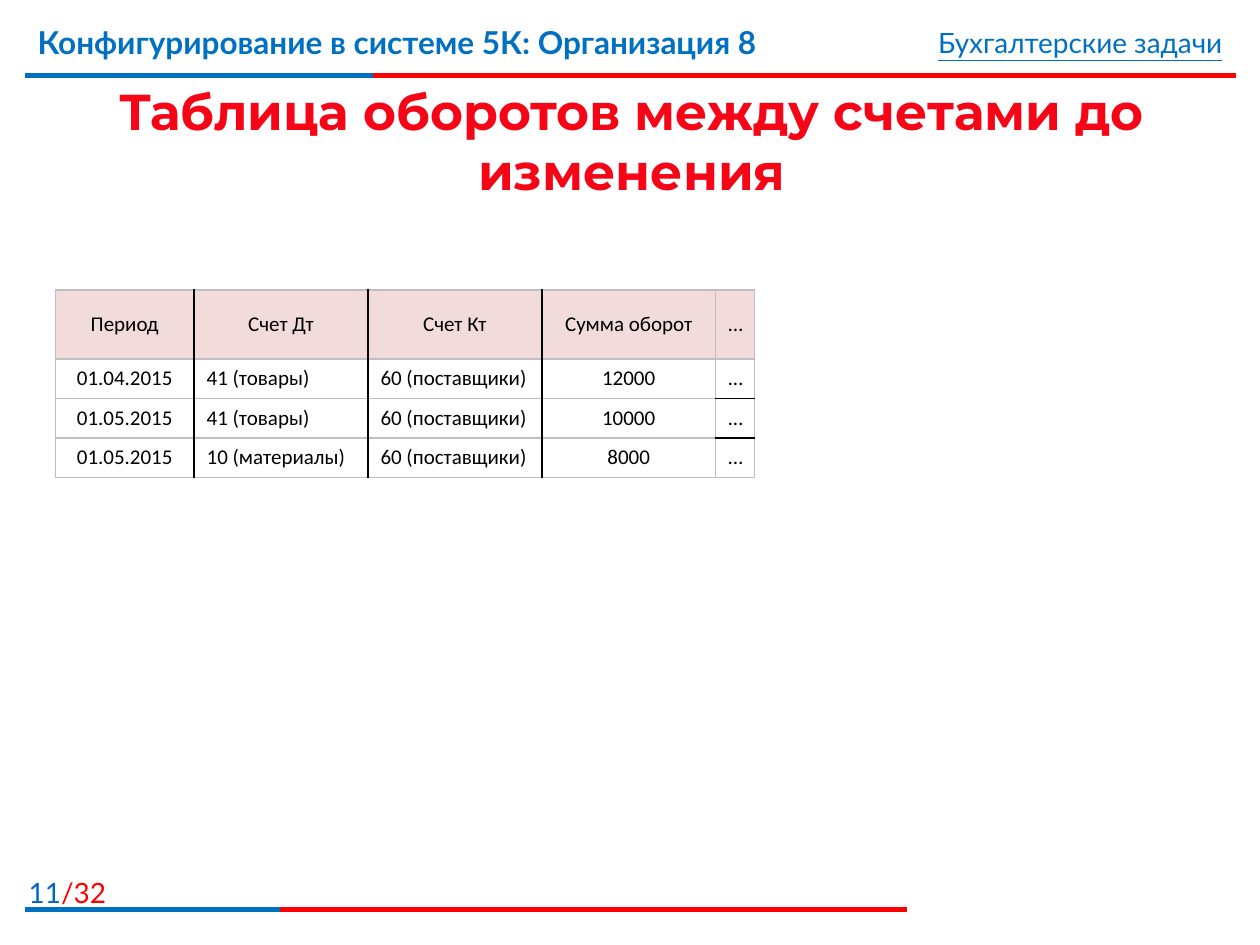
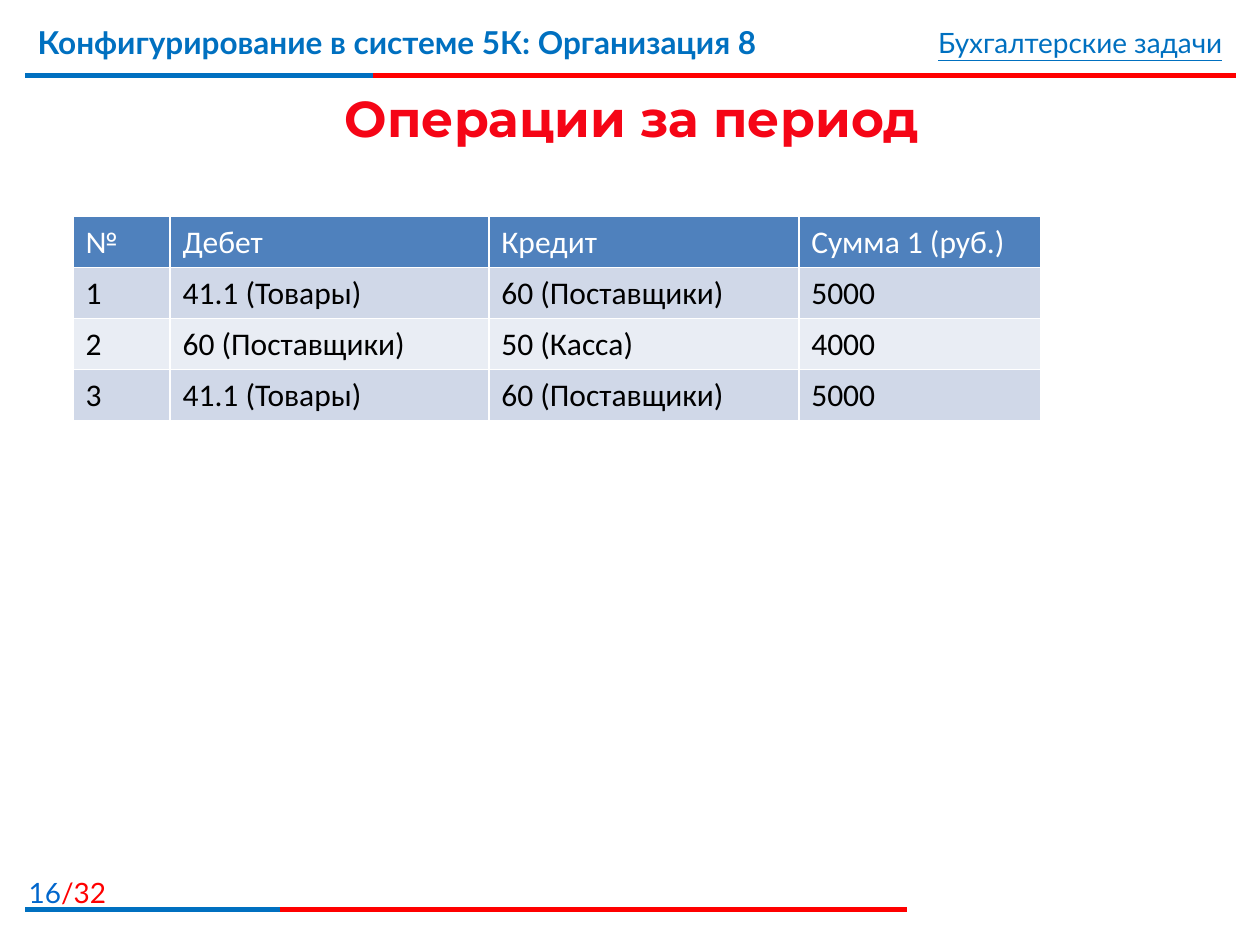
import pptx
import pptx.util
import pptx.dml.color
import pptx.enum.shapes
import pptx.enum.text
import pptx.oxml.ns
import lxml.etree

Inches = pptx.util.Inches
Pt = pptx.util.Pt
ALIGN = pptx.enum.text.PP_ALIGN
ANCHOR = pptx.enum.text.MSO_ANCHOR

BLUE, RED, BLACK, WHITE = "0070C0", "FF0000", "000000", "FFFFFF"
PAGE_BLUE, TITLE_RED = "0066CC", "F50516"
GREY, PINK = "BFBFBF", "F2DCDB"
HEAD_BLUE, BAND_DARK, BAND_LIGHT = "4F81BD", "D0D8E8", "E9EDF4"
PAGE_TOTAL = 32


def color(hex_code):
    return pptx.dml.color.RGBColor.from_string(hex_code)


def add_run(paragraph, text, size, font, hex_code, bold=False, underline=False):
    run = paragraph.add_run()
    run.text = text
    run.font.size = Pt(size)
    run.font.name = font
    run.font.bold = bold
    run.font.underline = underline
    run.font.color.rgb = color(hex_code)


def add_label(slide, left, top, width, height, align, anchor=ANCHOR.TOP):
    """Add an empty wrapped text box and return its first paragraph."""
    frame = slide.shapes.add_textbox(
        Inches(left), Inches(top), Inches(width), Inches(height)).text_frame
    frame.word_wrap = True
    frame.vertical_anchor = anchor
    paragraph = frame.paragraphs[0]
    paragraph.alignment = align
    return paragraph


def add_rule(slide, left, right, y, hex_code):
    rule = slide.shapes.add_connector(
        pptx.enum.shapes.MSO_CONNECTOR.STRAIGHT,
        Inches(left), Inches(y), Inches(right), Inches(y))
    rule.line.color.rgb = color(hex_code)
    rule.line.width = Pt(3)
    lxml.etree.SubElement(rule._element.spPr, pptx.oxml.ns.qn("a:effectLst"))


def add_two_tone_rule(slide, y, blue_end, red_end):
    add_rule(slide, 0.2, red_end, y, RED)
    add_rule(slide, 0.2, blue_end, y, BLUE)


def add_border(cell, side, hex_code):
    qn = pptx.oxml.ns.qn
    edge = lxml.etree.SubElement(
        cell._tc.get_or_add_tcPr(), qn("a:ln" + side), w=str(Pt(1)))
    fill = lxml.etree.SubElement(edge, qn("a:solidFill"))
    lxml.etree.SubElement(fill, qn("a:srgbClr"), val=hex_code)


def add_grid(slide, left, top, widths, row_height, rows, size, row_fills,
             aligns, outer, inner, header_text=BLACK, anchor=ANCHOR.TOP):
    """Add a table; outer edges and inner edges each have one colour."""
    table = slide.shapes.add_table(
        len(rows), len(widths), Inches(left), Inches(top),
        Inches(sum(widths)), Inches(row_height * len(rows))).table
    table.first_row = table.horz_banding = False
    for column, width in zip(table.columns, widths):
        column.width = Inches(width)
    last_row, last_column = len(rows) - 1, len(widths) - 1
    for r, values in enumerate(rows):
        table.rows[r].height = Inches(row_height)
        for c, value in enumerate(values):
            cell = table.cell(r, c)
            cell.vertical_anchor = anchor
            on_edge = {"L": c == 0, "R": c == last_column,
                       "T": r == 0, "B": r == last_row}
            for side, is_outer in on_edge.items():
                add_border(cell, side, outer if is_outer else inner)
            cell.fill.solid()
            cell.fill.fore_color.rgb = color(row_fills[r])
            paragraph = cell.text_frame.paragraphs[0]
            paragraph.alignment = aligns[c]
            add_run(paragraph, value, size, "Calibri",
                    header_text if r == 0 else BLACK)


def add_page(deck, number, title, title_height):
    """Add a slide with the course header, page number and title."""
    slide = deck.slides.add_slide(deck.slide_layouts[6])
    add_two_tone_rule(slide, 0.6, 2.96, 9.81)
    page = add_label(slide, 0, 6.9, 0.94, 0.32, ALIGN.RIGHT)
    add_run(page, str(number), 16, "Lato", PAGE_BLUE)
    add_run(page, f"/{PAGE_TOTAL}", 16, "Lato", RED)
    add_two_tone_rule(slide, 7.22, 2.22, 7.2)
    course = add_label(slide, 0.2, 0.13, 7.4, 0.62, ALIGN.LEFT)
    add_run(course, "Конфигурирование в системе 5К: Организация 8",
            18, "Lato", BLUE, bold=True)
    topic = add_label(slide, 5.94, 0.15, 3.86, 0.37, ALIGN.RIGHT)
    add_run(topic, "Бухгалтерские задачи", 16, "Lato", BLUE, underline=True)
    heading = add_label(slide, 0.21, 0.63, 9.61, title_height,
                        ALIGN.CENTER, ANCHOR.MIDDLE)
    add_run(heading, title, 28.8, "Montserrat", TITLE_RED, bold=True)
    return slide


def add_turnover_slide(deck):
    slide = add_page(deck, 11, "Таблица оборотов между счетами до изменения", 0.97)
    left, top, header_height, row_height = 0.44, 2.3, 0.55, 0.94 / 3
    widths = [1.1, 1.38, 1.38, 1.38]
    header = ["Период", "Счет Дт", "Счет Кт", "Сумма оборот"]
    turnovers = [
        ["01.04.2015", "41 (товары)", "60 (поставщики)", "12000"],
        ["01.05.2015", "41 (товары)", "60 (поставщики)", "10000"],
        ["01.05.2015", "10 (материалы)", "60 (поставщики)", "8000"],
    ]
    centred = [ALIGN.CENTER] * 4
    entry_aligns = [ALIGN.CENTER, ALIGN.LEFT, ALIGN.LEFT, ALIGN.CENTER]
    body_top = top + header_height

    def add_part(x, y, part_widths, height, rows, fill, aligns):
        add_grid(slide, x, y, part_widths, height, rows, 12, [fill] * len(rows),
                 aligns, GREY, BLACK, anchor=ANCHOR.MIDDLE)

    # Header strip, then one strip per turnover
    add_part(left, top, widths, header_height, [header], PINK, centred)
    for i, turnover in enumerate(turnovers):
        add_part(left, body_top + i * row_height, widths, row_height,
                 [turnover], WHITE, entry_aligns)

    # Column standing for the remaining fields
    more_left = left + sum(widths)
    add_part(more_left, top, [0.31], header_height, [["…"]], PINK, centred)
    add_part(more_left, body_top, [0.31], row_height,
             [["…"]] * len(turnovers), WHITE, [ALIGN.LEFT])


def add_operations_slide(deck):
    slide = add_page(deck, 16, "Операции за период", 0.6)
    operations = [
        ["№", "Дебет", "Кредит", "Сумма 1 (руб.)"],
        ["1", "41.1 (Товары)", "60 (Поставщики)", "5000"],
        ["2", "60 (Поставщики)", "50 (Касса)", "4000"],
        ["3", "41.1 (Товары)", "60 (Поставщики)", "5000"],
    ]
    add_grid(slide, 0.58, 1.72, [0.77, 2.53, 2.46, 1.92], 0.405, operations, 18,
             [HEAD_BLUE, BAND_DARK, BAND_LIGHT, BAND_DARK], [ALIGN.LEFT] * 4,
             WHITE, WHITE, header_text=WHITE)


def main():
    deck = pptx.Presentation()
    deck.slide_width, deck.slide_height = Inches(10), Inches(7.5)
    add_turnover_slide(deck)
    add_operations_slide(deck)
    deck.save("out.pptx")


if __name__ == "__main__":
    main()
